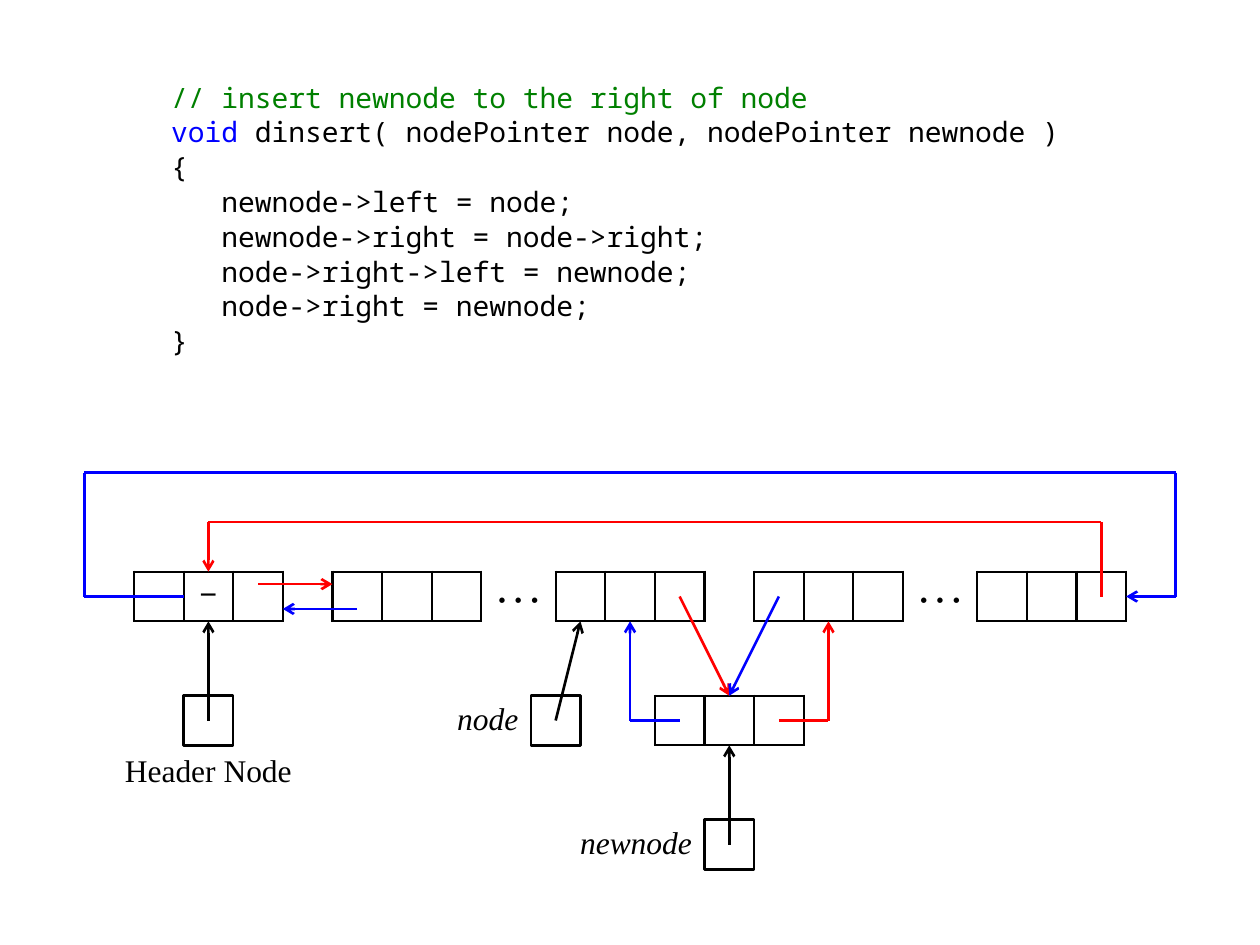
"""Draw insertion into a doubly linked circular list, with its code."""
from dataclasses import dataclass

from lxml import etree
from pptx import Presentation
from pptx.dml.color import RGBColor
from pptx.enum.shapes import MSO_CONNECTOR, MSO_SHAPE
from pptx.enum.text import MSO_ANCHOR, PP_ALIGN
from pptx.oxml.ns import qn
from pptx.util import Inches, Length, Pt

STRAIGHT = MSO_CONNECTOR.STRAIGHT
RECTANGLE = MSO_SHAPE.RECTANGLE
MIDDLE = MSO_ANCHOR.MIDDLE
CENTER, RIGHT = PP_ALIGN.CENTER, PP_ALIGN.RIGHT

BLACK, RED, BLUE, GREEN = "000000", "FF0000", "0000FF", "008000"
CODE_FONT, LABEL_FONT = "Noto Sans Mono", "Times New Roman"
LINE_WIDTH = Pt(1.5)
UNIT = 1 / 2.54
GRID_LEFT, GRID_TOP = 0.67, 3.75
FIELDS = 3


@dataclass(frozen=True)
class Node:
    column: float
    row: float
    mark: str = ""


@dataclass(frozen=True)
class Link:
    points: tuple
    color: str
    arrow: bool = True


@dataclass(frozen=True)
class Label:
    text: str
    column: float
    row: float
    columns: float
    align: PP_ALIGN = CENTER
    size: int = 18
    italic: bool = False
    bottom: float = 0.04


CODE = (
    (("// insert newnode to the right of node", GREEN),),
    (("void ", BLUE), ("dinsert( nodePointer node, nodePointer newnode )", BLACK)),
    (("{", BLACK),),
    (("   newnode->left = node;", BLACK),),
    (("   newnode->right = node->right;", BLACK),),
    (("   node->right->left = newnode;", BLACK),),
    (("   node->right = newnode;", BLACK),),
    (("}", BLACK),),
)
NODES = (
    Node(1, 2, "−"), Node(5, 2), Node(9.5, 2), Node(13.5, 2), Node(18, 2), Node(11.5, 4.5),
)
POINTER_BOXES = ((2, 4.5), (9, 4.5), (12.5, 7))
LINKS = (
    Link(((2, 2.5), (0, 2.5), (0, 0), (22, 0), (22, 2.5), (21, 2.5)), BLUE),
    Link(((20.5, 2.5), (20.5, 1), (2.5, 1), (2.5, 2)), RED),
    Link(((3.5, 2.25), (5, 2.25)), RED),
    Link(((5.5, 2.75), (4, 2.75)), BLUE),
    Link(((12, 2.5), (13, 4.5)), RED),
    Link(((14, 2.5), (13, 4.5)), BLUE),
    Link(((12, 5), (11, 5), (11, 3)), BLUE),
    Link(((14, 5), (15, 5), (15, 3)), RED),
    Link(((2.5, 5), (2.5, 3)), BLACK),
    Link(((9.5, 5), (10, 3)), BLACK),
    Link(((13, 7.5), (13, 5.5)), BLACK),
)
LABELS = (
    Label("Header Node", 0.5, 5.5, 4, bottom=0.05),
    Label("node", 7, 4.5, 2, RIGHT, italic=True),
    Label("newnode", 9.5, 7, 3, RIGHT, italic=True),
    Label("⋯", 8, 2, 1.5, size=28),
    Label("⋯", 16.5, 2, 1.5, size=28),
)


def rgb(color: str) -> RGBColor:
    """Turn a hex string into a colour."""
    return RGBColor.from_string(color)


def grid_x(column: float) -> Length:
    """Return the horizontal position of a grid column."""
    return Inches(GRID_LEFT + column * UNIT)


def grid_y(row: float) -> Length:
    """Return the vertical position of a grid row."""
    return Inches(GRID_TOP + row * UNIT)


def style_font(font, name: str, size: int, color: str) -> None:
    """Set the face, size and colour of a font."""
    font.name = name
    font.size = Pt(size)
    font.color.rgb = rgb(color)


def draw_code(slide) -> None:
    """Write the coloured function listing."""
    box = slide.shapes.add_textbox(Inches(1.26), Inches(0.6), Inches(7.48), Inches(2.56))
    text_frame = box.text_frame
    text_frame.word_wrap = True
    text_frame.margin_top = Inches(0.07)
    for index, pieces in enumerate(CODE):
        paragraph = text_frame.add_paragraph() if index else text_frame.paragraphs[0]
        paragraph.line_spacing = 0.88
        paragraph.space_before = Pt(3 if index else 0)
        for text, color in pieces:
            run = paragraph.add_run()
            run.text = text
            style_font(run.font, CODE_FONT, 16, color)


def border_cell(cell) -> None:
    """Give a cell a black line on every side and no fill."""
    properties = cell._tc.get_or_add_tcPr()
    for side in ("a:lnL", "a:lnR", "a:lnT", "a:lnB"):
        line = etree.SubElement(properties, qn(side), w=str(LINE_WIDTH))
        fill = etree.SubElement(line, qn("a:solidFill"))
        etree.SubElement(fill, qn("a:srgbClr"), val=BLACK)
    cell.fill.background()


def draw_node(slide, node: Node) -> None:
    """Draw a list node as a row of three fields."""
    frame = slide.shapes.add_table(1, FIELDS, grid_x(node.column), grid_y(node.row),
                                   Inches(FIELDS * UNIT), Inches(UNIT))
    table = frame.table
    table.first_row = table.horz_banding = False
    for index in range(FIELDS):
        cell = table.cell(0, index)
        cell.margin_left = cell.margin_right = cell.margin_top = 0
        cell.margin_bottom = Inches(0.02)
        cell.vertical_anchor = MIDDLE
        border_cell(cell)
    if node.mark:
        paragraph = table.cell(0, 1).text_frame.paragraphs[0]
        paragraph.text = node.mark
        paragraph.alignment = CENTER
        font = paragraph.runs[0].font
        style_font(font, LABEL_FONT, 18, BLACK)
        font.bold = True


def draw_pointer_box(slide, column: float, row: float) -> None:
    """Draw the square that holds a pointer variable."""
    shape = slide.shapes.add_shape(RECTANGLE, grid_x(column), grid_y(row),
                                   Inches(UNIT), Inches(UNIT))
    shape.shadow.inherit = False
    shape.fill.background()
    shape.line.color.rgb = rgb(BLACK)
    shape.line.width = LINE_WIDTH


def draw_link(slide, link: Link) -> None:
    """Draw a link as straight segments, the last one with an arrowhead."""
    for start, end in zip(link.points, link.points[1:]):
        connector = slide.shapes.add_connector(
            STRAIGHT, grid_x(start[0]), grid_y(start[1]), grid_x(end[0]), grid_y(end[1]))
        connector.line.color.rgb = rgb(link.color)
        connector.line.width = LINE_WIDTH
        properties = connector._element.spPr
        if link.arrow and end == link.points[-1]:
            etree.SubElement(properties.find(qn("a:ln")), qn("a:tailEnd"), type="arrow")
        etree.SubElement(properties, qn("a:effectLst"))


def draw_label(slide, label: Label) -> None:
    """Write a label one grid row high."""
    box = slide.shapes.add_textbox(grid_x(label.column), grid_y(label.row),
                                   Inches(label.columns * UNIT), Inches(UNIT))
    text_frame = box.text_frame
    text_frame.text = label.text
    text_frame.word_wrap = False
    text_frame.vertical_anchor = MIDDLE
    text_frame.margin_top = Inches(0.05 if label.bottom == 0.05 else 0)
    text_frame.margin_bottom = Inches(label.bottom)
    paragraph = text_frame.paragraphs[0]
    paragraph.alignment = label.align
    font = paragraph.runs[0].font
    style_font(font, LABEL_FONT, label.size, BLACK)
    font.italic = label.italic


def main() -> None:
    """Build the slide and save it."""
    presentation = Presentation()
    presentation.slide_width, presentation.slide_height = Inches(10), Inches(7.5)
    slide = presentation.slides.add_slide(presentation.slide_layouts[6])
    draw_code(slide)
    for node in NODES:
        draw_node(slide, node)
    for column, row in POINTER_BOXES:
        draw_pointer_box(slide, column, row)
    for label in LABELS:
        draw_label(slide, label)
    for link in LINKS:
        draw_link(slide, link)
    presentation.save("out.pptx")


if __name__ == "__main__":
    main()
